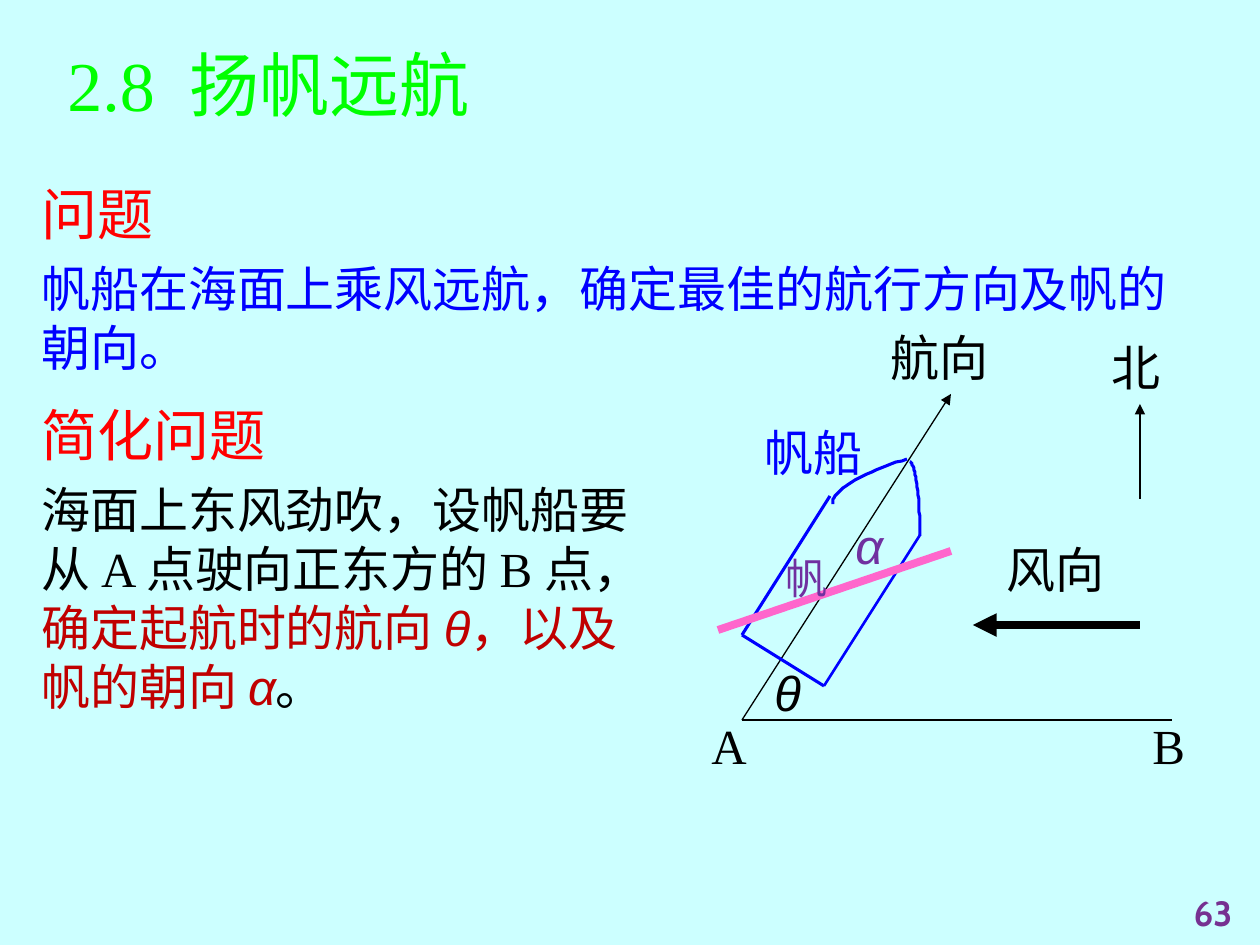
from lxml import etree
from pptx import Presentation
from pptx.dml.color import RGBColor
from pptx.enum.shapes import MSO_CONNECTOR
from pptx.enum.text import MSO_ANCHOR, PP_ALIGN
from pptx.oxml.ns import qn
from pptx.util import Pt

STRAIGHT = MSO_CONNECTOR.STRAIGHT
CENTER = PP_ALIGN.CENTER
BOTTOM = MSO_ANCHOR.BOTTOM
SCALE = 914400 / 126
STEPS = 24
ROMAN, SANS = "Times New Roman", "Arial"
COLORS = {
    "sky": "CCFFFF", "green": "00FF00", "red": "FF0000", "blue": "0000FF",
    "black": "000000", "brick": "C00000", "pink": "FF66CC",
    "purple": "7030A0", "plum": "763191",
}


def px(value):
    """Turn px into EMU."""
    return round(value * SCALE)


def color(name):
    """Look up a colour by name."""
    return RGBColor.from_string(COLORS[name])


def run(text, tint="black", size=28, name=ROMAN, **extra):
    """Describe one run of text."""
    return text, tint, {"size": Pt(size), "name": name, **extra}


def greek(text, tint="black"):
    """Describe an italic symbol."""
    return run(text, tint, name=SANS, italic=True)


def write(shapes, box, paras, frame=None, **form):
    """Add a text box holding paragraphs of (space before, runs)."""
    text = shapes.add_textbox(*map(px, box)).text_frame
    for key, value in {"word_wrap": True, **(frame or {})}.items():
        setattr(text, key, value)
    for i, (gap, runs) in enumerate(paras):
        para = text.paragraphs[0] if i == 0 else text.add_paragraph()
        for key, value in {"space_before": Pt(gap), **form}.items():
            setattr(para, key, value)
        for words, tint, style in runs:
            part = para.add_run()
            part.text = words
            part.font.color.rgb = color(tint)
            for key, value in style.items():
                setattr(part.font, key, value)


def stroke(shape, tint, width):
    """Set the line of a shape."""
    shape.line.color.rgb = color(tint)
    shape.line.width = Pt(width)


def line(shapes, box, ends, tint="black", width=0.75, arrow=False):
    """Draw a straight line inside the box."""
    x, y = box[:2]
    x1, y1, x2, y2 = ends
    link = shapes.add_connector(
        STRAIGHT, px(x + x1), px(y + y1), px(x + x2), px(y + y2))
    stroke(link, tint, width)
    if arrow:
        etree.SubElement(link.line._get_or_add_ln(), qn("a:tailEnd"), type="triangle")
    etree.SubElement(link._element.spPr, qn("a:effectLst"))


def curve(shapes, box, knots):
    """Draw a cubic curve of the hull inside the box."""
    dots = []
    for i in range(STEPS + 1):
        t = i / STEPS
        parts = (1 - t) ** 3, 3 * t * (1 - t) ** 2, 3 * t * t * (1 - t), t ** 3
        dots.append(tuple(
            box[axis] + sum(w * knot[axis] for w, knot in zip(parts, knots))
            for axis in (0, 1)))
    pen = shapes.build_freeform(*dots[0], scale=SCALE)
    pen.add_line_segments(dots[1:], close=False)
    bow = pen.convert_to_shape()
    bow.fill.background()
    bow.shadow.inherit = False
    stroke(bow, "blue", 1.75)


def title(shapes, box):
    """Write the section title."""
    write(shapes, box, [(0, [run("2.8  扬帆远航", "green", 40)])],
          {"vertical_anchor": BOTTOM})


def topic(shapes, box, head, body):
    """Write a red heading with its text below."""
    write(shapes, box, [(8, [run(head, "red", 32)]), (7, body)])


def number(shapes, box):
    """Write the page number."""
    write(shapes, box, [(0, [run("63", "plum", 20, "Cabin", bold=True)])],
          {"word_wrap": False}, alignment=CENTER)


def boat(shapes, box):
    """Draw the hull of the boat."""
    line(shapes, box, (42, 315, 124, 366), "blue", 1.75)
    line(shapes, box, (42, 315, 130, 176), "blue", 1.75)
    line(shapes, box, (220, 215, 124, 366), "blue", 1.5)
    curve(shapes, box, [(207, 139), (163, 152), (129, 173), (133, 184)])
    curve(shapes, box, [(210, 142), (215, 142), (220, 175), (220, 216)])


def chart(slide, box):
    """Draw the course diagram as one group."""
    shapes = slide.shapes.add_group_shape().shapes
    line(shapes, box, (42, 400, 472, 400))
    line(shapes, box, (42, 400, 251, 74), arrow=True)
    line(shapes, box, (440, 179, 440, 84), arrow=True)
    boat(shapes, box)
    line(shapes, box, (440, 305, 273, 305), width=4.5, arrow=True)
    line(shapes, box, (18, 310, 251, 231), "pink", 4.5)
    labels = [
        (-1, 389, 84, run("A")),
        (440, 389, 84, run("B")),
        (62, 336, 63, greek("θ")),
        (294, 213, 136, run("风向")),
        (399, 11, 73, run("北")),
        (178, 1, 147, run("航向")),
        (52, 96, 123, run("帆船", "blue")),
        (143, 189, 106, greek("α", "purple")),
    ]
    x, y = box[:2]
    for left, top, width, part in labels:
        write(shapes, (x + left, y + top, width, 72), [(7, [part])])
    write(shapes, (x + 64, y + 226, 86, 63),
          [(6, [run("帆", "purple", 24)])], alignment=CENTER)


def main():
    """Build the slide and save it."""
    deck = Presentation()
    deck.slide_width, deck.slide_height = px(1260), px(945)
    slide = deck.slides.add_slide(deck.slide_layouts[6])
    slide.background.fill.solid()
    slide.background.fill.fore_color.rgb = color("sky")
    shapes = slide.shapes
    number(shapes, (1111, 885, 204, 60))
    title(shapes, (55, 35, 912, 97))
    topic(shapes, (29, 173, 1171, 210), "问题", [
        run("帆船在海面上乘风远航，确定最佳的航行方向及帆的朝向。", "blue")])
    topic(shapes, (29, 394, 645, 328), "简化问题", [
        run("海面上东风劲吹，设帆船要从 A 点驶向正东方的 B 点，"),
        run("确定起航时的航向 ", "brick"), greek("θ", "brick"),
        run("，以及帆的朝向 ", "brick"), greek("α", "brick"), run("。")])
    chart(slide, (700, 320, 525, 461))
    deck.save("out.pptx")


if __name__ == "__main__":
    main()
